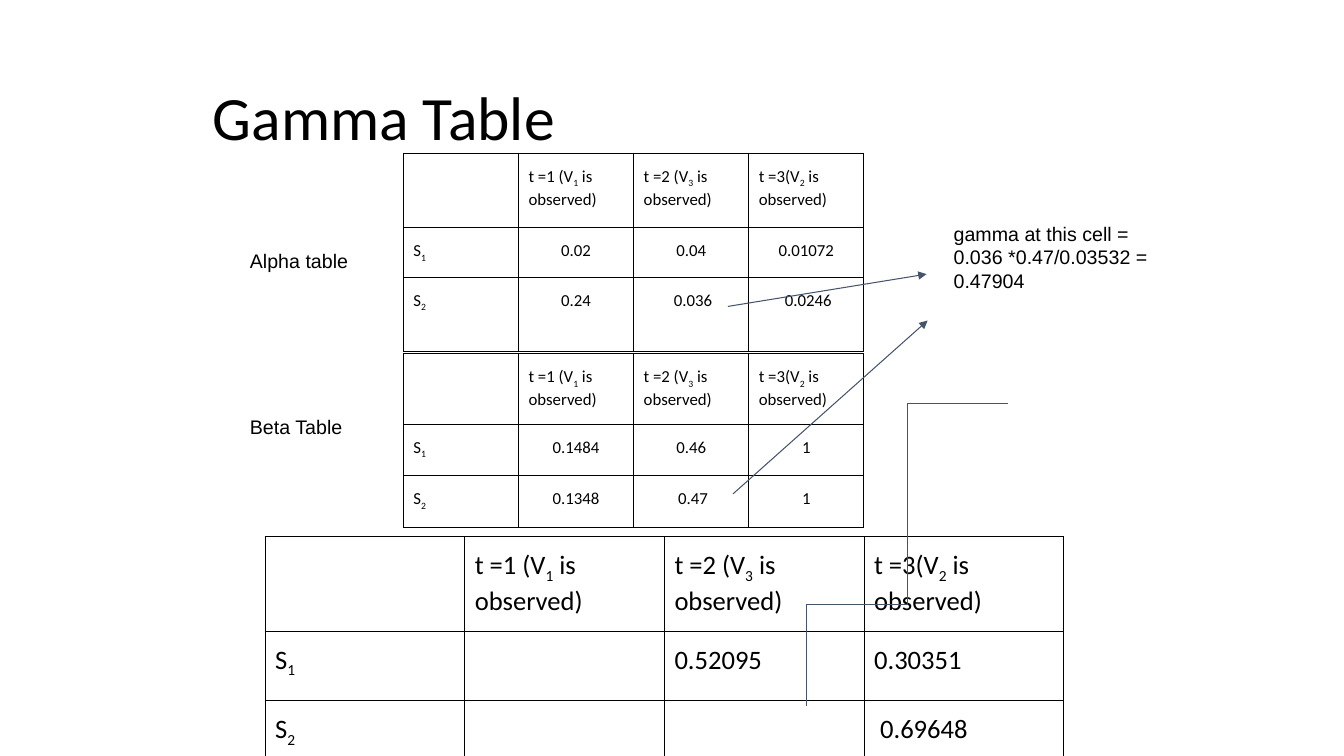
from lxml.etree import SubElement
from pptx import Presentation
from pptx.dml.color import RGBColor
from pptx.enum.shapes import MSO_CONNECTOR
from pptx.enum.text import MSO_ANCHOR, PP_ALIGN
from pptx.oxml.ns import qn
from pptx.util import Inches, Pt

BLACK = "000000"
SLATE = "44546A"
HEADER = ["", "t =1 (V_1_ is observed)", "t =2 (V_3_ is observed)", "t =3(V_2_ is observed)"]
ALPHA = [["S_1_", "0.02", "0.04", "0.01072"], ["S_2_", "0.24", " 0.036", " 0.0246"]]
BETA = [["S_1_", "0.1484", "0.46", "1"], ["S_2_", "0.1348", " 0.47", "1"]]
GAMMA = [["S_1_", "", "0.52095", "0.30351"], ["S_2_", "", "", " 0.69648"]]


def color(value):
    return RGBColor.from_string(value)


def add_runs(para, text, size, font):
    """Add text in which _x_ marks a subscript."""
    for index, part in enumerate(text.split("_")):
        if not part:
            continue
        span = para.add_run()
        span.text = part
        span.font.size = Pt(size)
        span.font.name = font
        span.font.color.rgb = color(BLACK)
        if index % 2:
            span.font._element.set("baseline", "-25000")


def set_margins(target, side, top):
    target.margin_left = target.margin_right = Inches(side)
    target.margin_top = target.margin_bottom = Inches(top)


def add_title(page, text):
    title = page.shapes.title
    title.left, title.top = Inches(2.01), Inches(0.65)
    title.width, title.height = Inches(9.32), Inches(0.83)
    frame = title.text_frame
    set_margins(frame, 0.1, 0.1)
    frame.margin_top = Inches(0.13)
    frame.vertical_anchor = MSO_ANCHOR.TOP
    para = frame.paragraphs[0]
    para.alignment = PP_ALIGN.LEFT
    add_runs(para, text, 44, "Calibri")


def add_label(page, left, top, width, height, lines):
    box = page.shapes.add_textbox(Inches(left), Inches(top), Inches(width), Inches(height))
    frame = box.text_frame
    frame.word_wrap = True
    set_margins(frame, 0.1, 0.1)
    for index, line in enumerate(lines):
        para = frame.add_paragraph() if index else frame.paragraphs[0]
        add_runs(para, line, 14, "Arial")


def add_borders(cell):
    properties = cell._tc.get_or_add_tcPr()
    for index, side in enumerate(("a:lnL", "a:lnR", "a:lnT", "a:lnB")):
        border = properties.makeelement(qn(side), {"w": str(Pt(0.75))})
        fill = SubElement(border, qn("a:solidFill"))
        SubElement(fill, qn("a:srgbClr"), val=BLACK)
        properties.insert(index, border)


def add_grid(page, left, top, width, heights, body, size, align):
    rows = [HEADER] + body
    frame = page.shapes.add_table(len(rows), len(HEADER), Inches(left), Inches(top),
                                  Inches(width), Inches(sum(heights)))
    table = frame.table
    table.first_row = table.horz_banding = False
    for row, height in zip(table.rows, heights):
        row.height = Inches(height)
    for r, row in enumerate(rows):
        for c, text in enumerate(row):
            cell = table.cell(r, c)
            cell.fill.background()
            add_borders(cell)
            set_margins(cell, 0.1, 0.13)
            para = cell.text_frame.paragraphs[0]
            para.alignment = align if r and c else PP_ALIGN.LEFT
            add_runs(para, text, size, "Calibri")


def add_arrow(page, start, end):
    arrow = page.shapes.add_connector(MSO_CONNECTOR.STRAIGHT, *map(Inches, start + end))
    arrow.line.color.rgb = color(SLATE)
    arrow.line.width = Pt(0.75)
    SubElement(arrow.line._get_or_add_ln(), qn("a:tailEnd"), type="triangle")
    SubElement(arrow._element.spPr, qn("a:effectLst"))


def bezier(points, steps=20):
    """Return points along a cubic curve, without its start."""
    result = []
    for step in range(1, steps + 1):
        t = step / steps
        weights = ((1 - t) ** 3, 3 * t * (1 - t) ** 2, 3 * t * t * (1 - t), t ** 3)
        result.append(tuple(sum(w * p[axis] for w, p in zip(weights, points))
                            for axis in (0, 1)))
    return result


def add_curve(page, points):
    builder = page.shapes.build_freeform(*points[0], scale=Inches(1))
    for first in range(0, len(points) - 1, 3):
        builder.add_line_segments(bezier(points[first:first + 4]), close=False)
    curve = builder.convert_to_shape()
    curve.shadow.inherit = False
    curve.fill.background()
    curve.line.color.rgb = color(SLATE)
    curve.line.width = Pt(0.75)


def main():
    deck = Presentation()
    deck.slide_width, deck.slide_height = Inches(13.33), Inches(7.5)
    page = deck.slides.add_slide(deck.slide_layouts[5])
    add_title(page, "Gamma Table")

    # Tables
    add_grid(page, 2.63, 5.32, 7.92, [0.94, 0.69, 0.69], GAMMA, 19, PP_ALIGN.LEFT)
    add_grid(page, 4, 1.52, 4.57, [0.74, 0.49, 0.74], ALPHA, 12, PP_ALIGN.CENTER)
    add_grid(page, 4, 3.51, 4.57, [0.7, 0.51, 0.51], BETA, 12, PP_ALIGN.CENTER)

    # Labels
    add_label(page, 2.38, 2.37, 1.22, 0.6, ["Alpha table"])
    add_label(page, 2.38, 4.02, 1.21, 0.45, ["Beta Table"])
    add_label(page, 9.36, 2.1, 2.48, 2.25,
              ["gamma at this cell =", "0.036 *0.47/0.03532 =", "0.47904"])

    # Links from the cells to the result
    add_arrow(page, (7.22, 3.04), (9.19, 2.72))
    add_arrow(page, (7.27, 4.9), (9.2, 3.18))
    add_curve(page, [(7.93, 6.98), (8.13, 6.69), (8.9, 5.76), (9.18, 5.21),
                     (9.45, 4.66), (9.5, 3.94), (9.57, 3.69)])
    deck.save("out.pptx")


if __name__ == "__main__":
    main()
